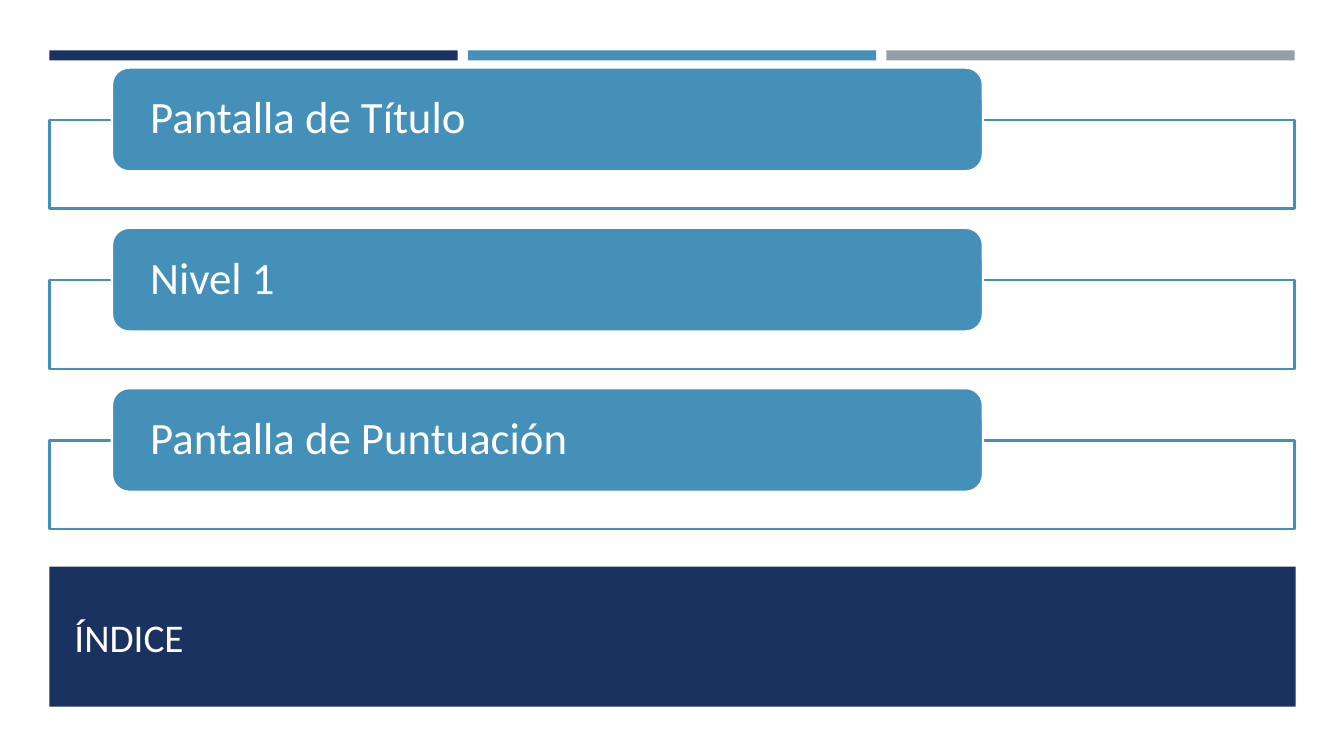
from dataclasses import dataclass

from pptx import Presentation
from pptx.dml.color import RGBColor
from pptx.enum.shapes import MSO_SHAPE as Preset
from pptx.enum.text import MSO_ANCHOR as Anchor, PP_ALIGN as Align
from pptx.util import Inches, Pt


@dataclass(frozen=True)
class Theme:
    navy: str = "1A3260"
    blue: str = "4590B8"
    gray: str = "969FA7"
    white: str = "FFFFFF"
    font: str = "Calibri"
    title_size: int = 28
    entry_size: int = 32
    outline: float = 1.75


class IndexSlide:
    def __init__(self, slide, theme):
        self.slide = slide
        self.theme = theme

    def block(self, area, fill, line=None, preset=Preset.RECTANGLE):
        shape = self.slide.shapes.add_shape(preset, *map(Inches, area))
        shape.shadow.inherit = False
        shape.fill.solid()
        shape.fill.fore_color.rgb = RGBColor.from_string(fill)
        if line:
            shape.line.color.rgb = RGBColor.from_string(line)
            shape.line.width = Pt(self.theme.outline)
        else:
            shape.line.fill.background()
        return shape

    def set_text(self, frame, text, size, inset):
        frame.word_wrap = True
        frame.vertical_anchor = Anchor.MIDDLE
        frame.margin_left = frame.margin_right = Inches(inset)
        frame.margin_top = frame.margin_bottom = 0
        paragraph = frame.paragraphs[0]
        paragraph.text = text
        paragraph.alignment = Align.LEFT
        paragraph.line_spacing = 0.9
        paragraph.font.name = self.theme.font
        paragraph.font.size = Pt(size)
        paragraph.font.color.rgb = RGBColor.from_string(self.theme.white)

    def title(self, text):
        self.block((0.49, 5.62, 12.36, 1.39), self.theme.navy)
        heading = self.slide.shapes.add_textbox(*map(Inches, (0.64, 5.97, 5.37, 0.75)))
        self.set_text(heading.text_frame, text, self.theme.title_size, 0.1)

    def entry(self, top, text):
        theme = self.theme
        self.block((0.49, top + 0.52, 12.35, 0.88), theme.white, theme.blue)
        label = self.block((1.11, top, 8.64, 1.03), theme.blue, theme.white,
                           Preset.ROUNDED_RECTANGLE)
        self.set_text(label.text_frame, text, theme.entry_size, 0.33)


def main():
    deck = Presentation()
    deck.slide_width, deck.slide_height = Inches(13.33), Inches(7.5)
    theme = Theme()
    index = IndexSlide(deck.slides.add_slide(deck.slide_layouts[6]), theme)

    for column, color in enumerate((theme.navy, theme.blue, theme.gray)):
        index.block((0.49 + 4.15 * column, 0.5, 4.05, 0.1), color)

    index.title("ÍNDICE")

    entries = ("Pantalla de Título", "Nivel 1", "Pantalla de Puntuación")
    for row, text in enumerate(entries):
        index.entry(0.67 + 1.59 * row, text)

    deck.save("out.pptx")


if __name__ == "__main__":
    main()
